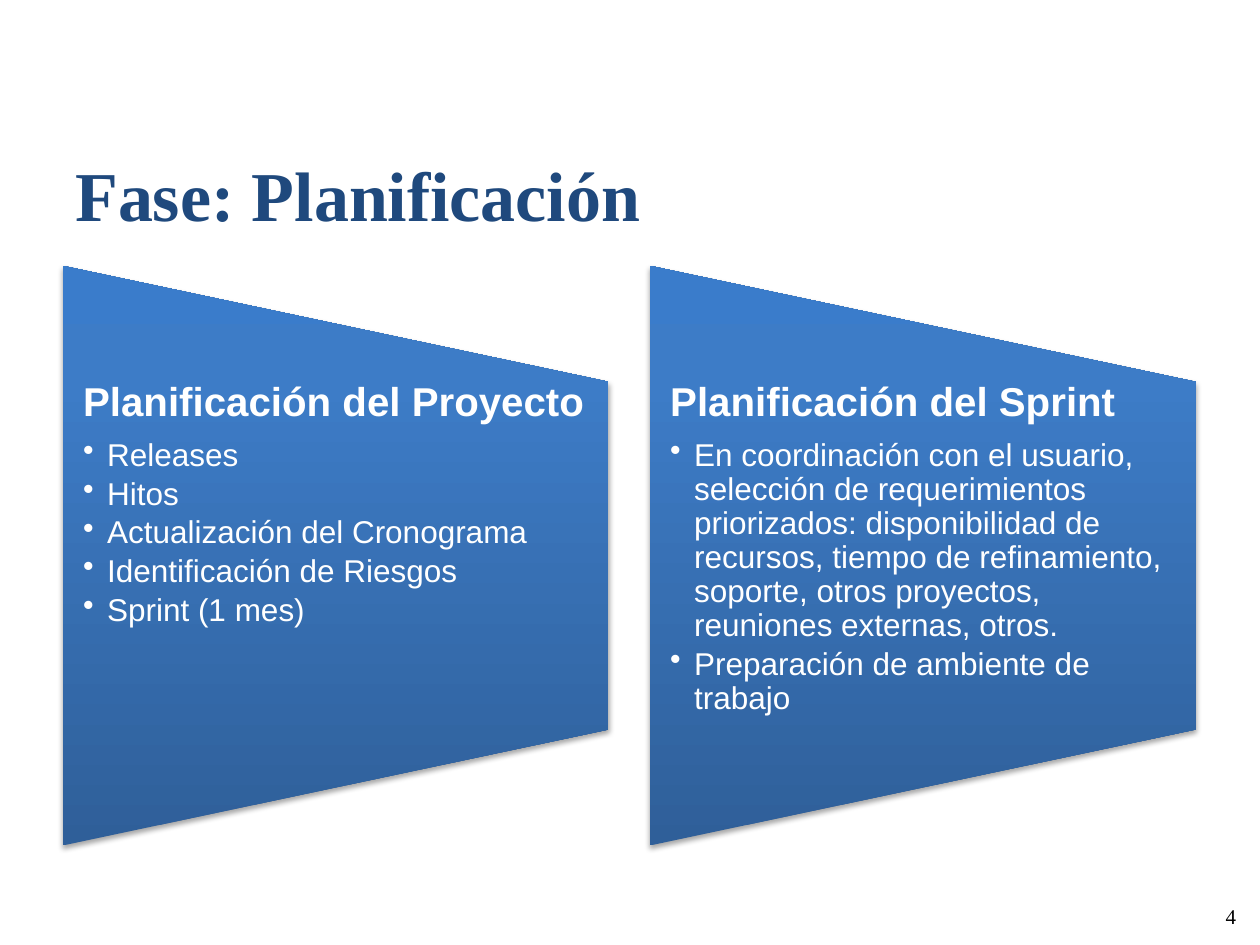
"""Build the slide on the planning phase, with two panels of tasks."""
import lxml.etree
import pptx
import pptx.dml.color
import pptx.enum.shapes
import pptx.enum.text
import pptx.oxml
import pptx.oxml.ns
import pptx.util

RGB = pptx.dml.color.RGBColor
NAVY = RGB(0x1F, 0x49, 0x7D)
WHITE = RGB(0xFF, 0xFF, 0xFF)
BLACK = RGB(0x00, 0x00, 0x00)
STOPS = [(0, RGB(0x2F, 0x5F, 0x99)), (80, RGB(0x3D, 0x7C, 0xC7)),
         (100, RGB(0x3A, 0x7C, 0xCB))]
SERIF, SANS = "Times New Roman", "Arial"
SPACE = pptx.oxml.ns.nsdecls("a")
ALIGN = pptx.enum.text.PP_ALIGN
ANCHOR = pptx.enum.text.MSO_ANCHOR
inch = pptx.util.Inches

deck = pptx.Presentation()
deck.slide_width, deck.slide_height = inch(10), inch(7.5)
slide = deck.slides.add_slide(deck.slide_layouts[6])


def frame(left, top, width, height, side=0.1, edge=0.05, anchor=ANCHOR.TOP):
    box = slide.shapes.add_textbox(inch(left), inch(top), inch(width), inch(height))
    body = box.text_frame
    body.word_wrap = True
    body.vertical_anchor = anchor
    body.margin_left = body.margin_right = inch(side)
    body.margin_top = body.margin_bottom = inch(edge)
    return body


def write(body, text, size=18, font=SANS, color=WHITE, bold=False,
          align=ALIGN.LEFT, line=1.0, after=0, dot=False):
    first = body.paragraphs[0]
    para = body.add_paragraph() if first.runs else first
    if dot:
        props = para._p.get_or_add_pPr()
        props.set("marL", str(inch(0.19)))
        props.set("indent", str(inch(-0.19)))
        lxml.etree.SubElement(props, pptx.oxml.ns.qn("a:buChar")).set("char", "•")
    para.alignment = align
    para.line_spacing = line
    para.space_after = pptx.util.Pt(after)
    run = para.add_run()
    run.text = text
    run.font.size = pptx.util.Pt(size)
    run.font.name = font
    run.font.bold = bold
    run.font.color.rgb = color


title = frame(0.5, 1.17, 9, 0.7, edge=0, anchor=ANCHOR.BOTTOM)
write(title, "Fase: Planificación", size=40, font=SERIF, color=NAVY, bold=True)

PANELS = [
    ("Planificación del Proyecto",
     ["Releases", "Hitos", "Actualización del Cronograma",
      "Identificación de Riesgos", "Sprint (1 mes)"]),
    ("Planificación del Sprint",
     ["En coordinación con el usuario, selección de requerimientos "
      "priorizados: disponibilidad de recursos, tiempo de refinamiento, "
      "soporte, otros proyectos, reuniones externas, otros.",
      "Preparación de ambiente de trabajo"]),
]
LEFT, TOP, WIDE, TALL, STEP = 0.5, 2.11, 4.33, 4.6, 4.66
shift = (TALL - WIDE) / 2
marks = "".join(
    f'<a:gs pos="{place * 1000}"><a:srgbClr val="{tone}"/></a:gs>'
    for place, tone in STOPS)
blend = (f'<a:gradFill {SPACE} rotWithShape="0"><a:gsLst>{marks}</a:gsLst>'
         '<a:lin ang="16200000" scaled="0"/></a:gradFill>')
shade = (f'<a:effectLst {SPACE}><a:outerShdw blurRad="40000" dist="23000" '
         'dir="5400000" rotWithShape="0"><a:srgbClr val="000000">'
         '<a:alpha val="35000"/></a:srgbClr></a:outerShdw></a:effectLst>')

for col, (head, tasks) in enumerate(PANELS):
    left = LEFT + col * STEP
    panel = slide.shapes.add_shape(
        pptx.enum.shapes.MSO_SHAPE.FLOWCHART_MANUAL_OPERATION,
        inch(left - shift), inch(TOP + shift), inch(TALL), inch(WIDE))
    panel.rotation = 270
    panel.line.fill.background()
    props = panel._element.spPr
    props.insert(2, pptx.oxml.parse_xml(blend))
    props.append(pptx.oxml.parse_xml(shade))

    body = frame(left, TOP + TALL / 5, WIDE, TALL * 3 / 5, side=0.16, edge=0)
    write(body, head, size=23, bold=True, line=0.9, after=8)
    for task in tasks:
        write(body, task, line=0.9, after=2.7, dot=True)

number = frame(7.58, 6.92, 2.33, 0.5, anchor=ANCHOR.BOTTOM)
write(number, "4", size=12, font=SERIF, color=BLACK, align=ALIGN.RIGHT)

deck.save("out.pptx")
